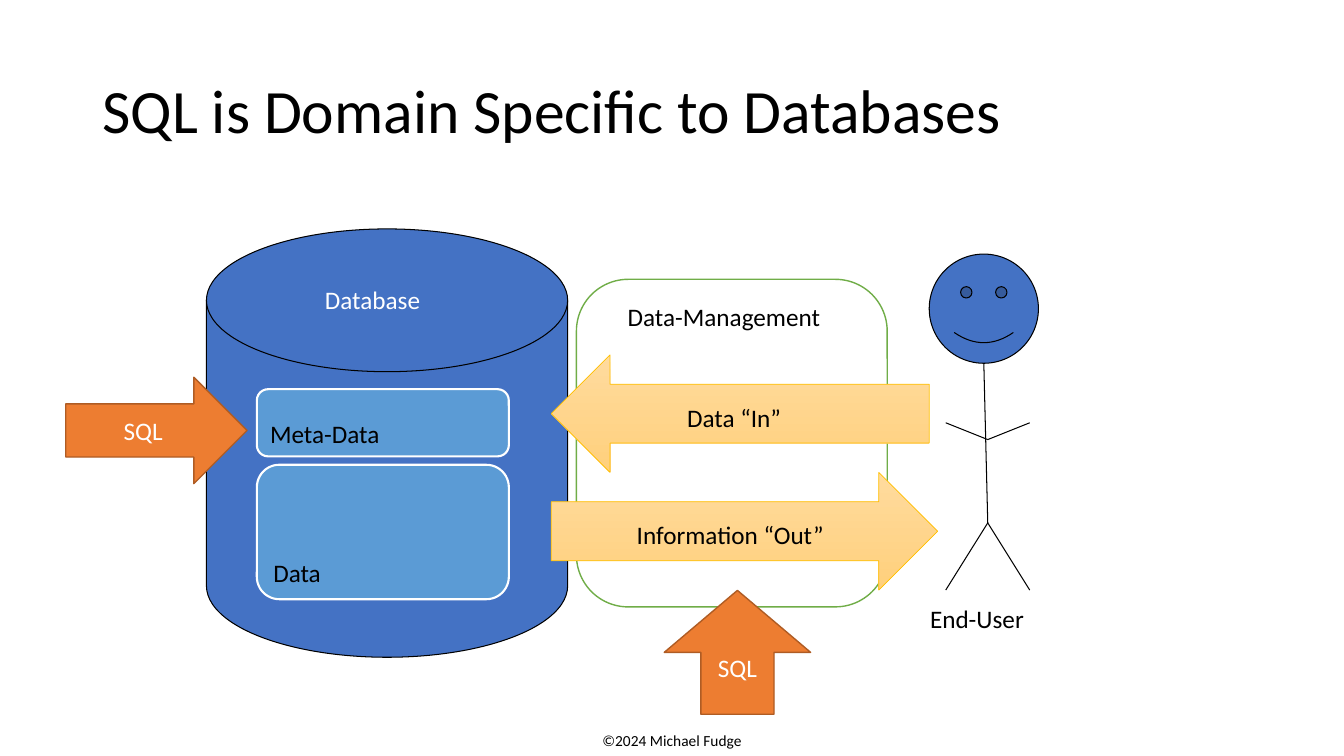
from dataclasses import dataclass
from pptx import Presentation
from pptx import util as u
from pptx.dml.color import RGBColor
from pptx.enum import shapes, text
from pptx.oxml.ns import qn
from lxml import etree

Pt = u.Pt
KIND = shapes.MSO_SHAPE
ALIGN = text.PP_ALIGN
ANCHOR = text.MSO_ANCHOR


@dataclass(frozen=True)
class Theme:
    font: str = "Calibri"
    title: int = 44
    body: int = 18
    small: int = 11
    black: str = "000000"
    white: str = "FFFFFF"
    blue: str = "4472C4"
    sky: str = "5B9BD5"
    green: str = "70AD47"
    gold: str = "FFC000"
    pale: str = "FFDB9E"
    deep: str = "FFD07C"
    orange: str = "ED7D31"
    rust: str = "AF5C24"


T = Theme()


def rgb(code):
    return RGBColor.from_string(code)


def write(frame, words, size=T.body, color=T.black, align=ALIGN.LEFT, anchor=ANCHOR.TOP):
    frame.text = words
    frame.word_wrap = True
    frame.vertical_anchor = anchor
    line = frame.paragraphs[0]
    line.alignment = align
    font = line.runs[0].font
    font.name, font.size = T.font, Pt(size)
    font.color.rgb = rgb(color)
    return line


def label(tree, box, words, **style):
    write(tree.add_textbox(*map(Pt, box)).text_frame, words, **style)


def block(tree, kind, box, fill, edge, width):
    item = tree.add_shape(kind, *map(Pt, box))
    item.shadow.inherit = False
    item.fill.solid()
    item.fill.fore_color.rgb = rgb(fill)
    item.line.color.rgb = rgb(edge)
    item.line.width = Pt(width)
    return item


def limb(tree, start, end):
    line = tree.add_connector(shapes.MSO_CONNECTOR.STRAIGHT, *map(Pt, start + end))
    line.line.color.rgb = rgb(T.black)
    line.line.width = Pt(0.75)
    etree.SubElement(line._element.spPr, qn("a:effectLst"))


def heading(slide, box):
    title = slide.shapes.title
    title.left, title.top, title.width, title.height = map(Pt, box)
    line = write(title.text_frame, "SQL is Domain Specific to Databases",
                 size=T.title, anchor=ANCHOR.MIDDLE)
    line.line_spacing = 0.9
    title.text_frame.auto_size = text.MSO_AUTO_SIZE.NONE


def database(slide, box):
    x, y, w, h = box
    tree = slide.shapes.add_group_shape().shapes
    block(tree, KIND.FLOWCHART_MAGNETIC_DISK, box, T.blue, T.black, 0.75)
    for words, top, high in (("Meta-Data", 114.5, 48), ("Data", 168.5, 96)):
        part = block(tree, KIND.ROUNDED_RECTANGLE, (x + 36, y + top, 180, high),
                     T.sky, T.white, 1.5)
        write(part.text_frame, words, anchor=ANCHOR.BOTTOM)
    label(tree, (x + 77.5, y + 36, 84, 29), "Database", color=T.white)


def manager(slide, box):
    x, y, w, h = box
    tree = slide.shapes.add_group_shape().shapes
    block(tree, KIND.ROUNDED_RECTANGLE, box, T.white, T.green, 1)
    label(tree, (x + 29.5, y + 12, 165, 29), "Data-Management")
    flows = (
        (KIND.LEFT_ARROW, 54, 270, "Data “In”", 72, 86),
        (KIND.RIGHT_ARROW, 138, 276, "Information “Out”", 36, 152),
    )
    for kind, top, wide, words, left, room in flows:
        arrow = block(tree, kind, (x - 18, y + top, wide, 84), T.pale, T.gold, 0.5)
        arrow.fill.gradient()
        arrow.fill.gradient_angle = 270
        for stop, code in zip(arrow.fill.gradient_stops, (T.pale, T.deep)):
            stop.color.rgb = rgb(code)
        label(tree, (x + left, y + top + 30, room, 29), words)


def person(slide, box):
    x, y, w, h = box
    tree = slide.shapes.add_group_shape().shapes
    block(tree, KIND.SMILEY_FACE, (x, y, w, w), T.blue, T.black, 0.75)
    mid = x + w / 2 + 2.8
    chest, hip = (mid, y + 132.5), (mid, y + 192)
    limb(tree, (x + w / 2, y + w), hip)
    for side in (-30, 30):
        limb(tree, chest, (mid + side, y + 120.5))
        limb(tree, hip, (mid + side, y + h))
    label(slide.shapes, (x - 6.5, y + h + 6, 92, 29), "End-User")


def query(slide, kind, box):
    arrow = block(slide.shapes, kind, box, T.orange, T.rust, 1)
    write(arrow.text_frame, "SQL", color=T.white, align=ALIGN.CENTER, anchor=ANCHOR.MIDDLE)


def main():
    deck = Presentation()
    deck.slide_width, deck.slide_height = Pt(960), Pt(540)
    slide = deck.slides.add_slide(deck.slide_layouts[5])
    label(slide.shapes, (408.5, 519, 143, 21), "©2024 Michael Fudge",
          size=T.small, align=ALIGN.CENTER)
    heading(slide, (66, 29, 828, 104))
    database(slide, (147.5, 163.5, 258, 306))
    manager(slide, (411.75, 199.5, 222, 234))
    person(slide, (663.75, 181.5, 78, 240))
    query(slide, KIND.RIGHT_ARROW, (47, 269.5, 129.5, 76))
    query(slide, KIND.UP_ARROW, (474.5, 421.75, 104.5, 88.5))
    deck.save("out.pptx")


if __name__ == "__main__":
    main()
